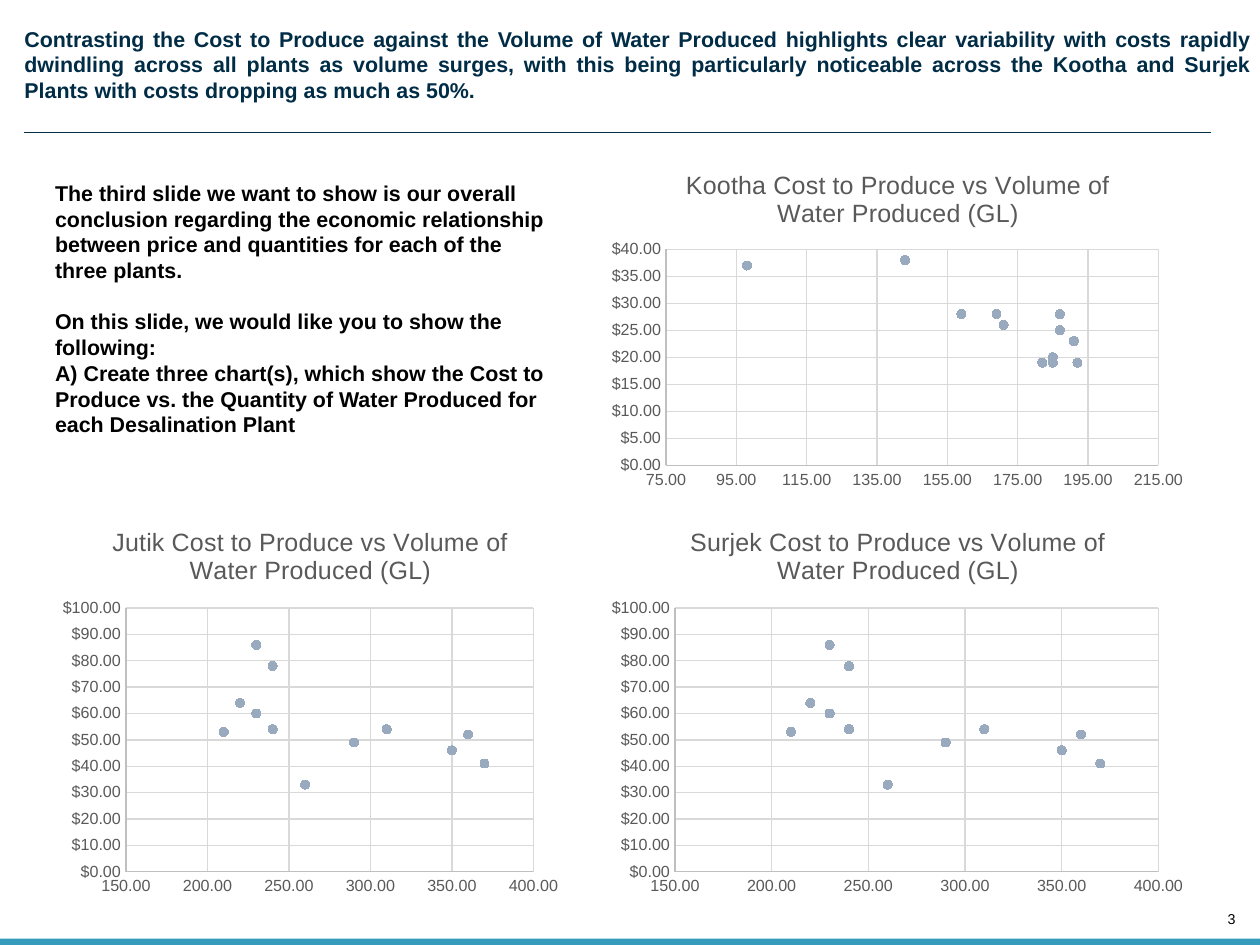
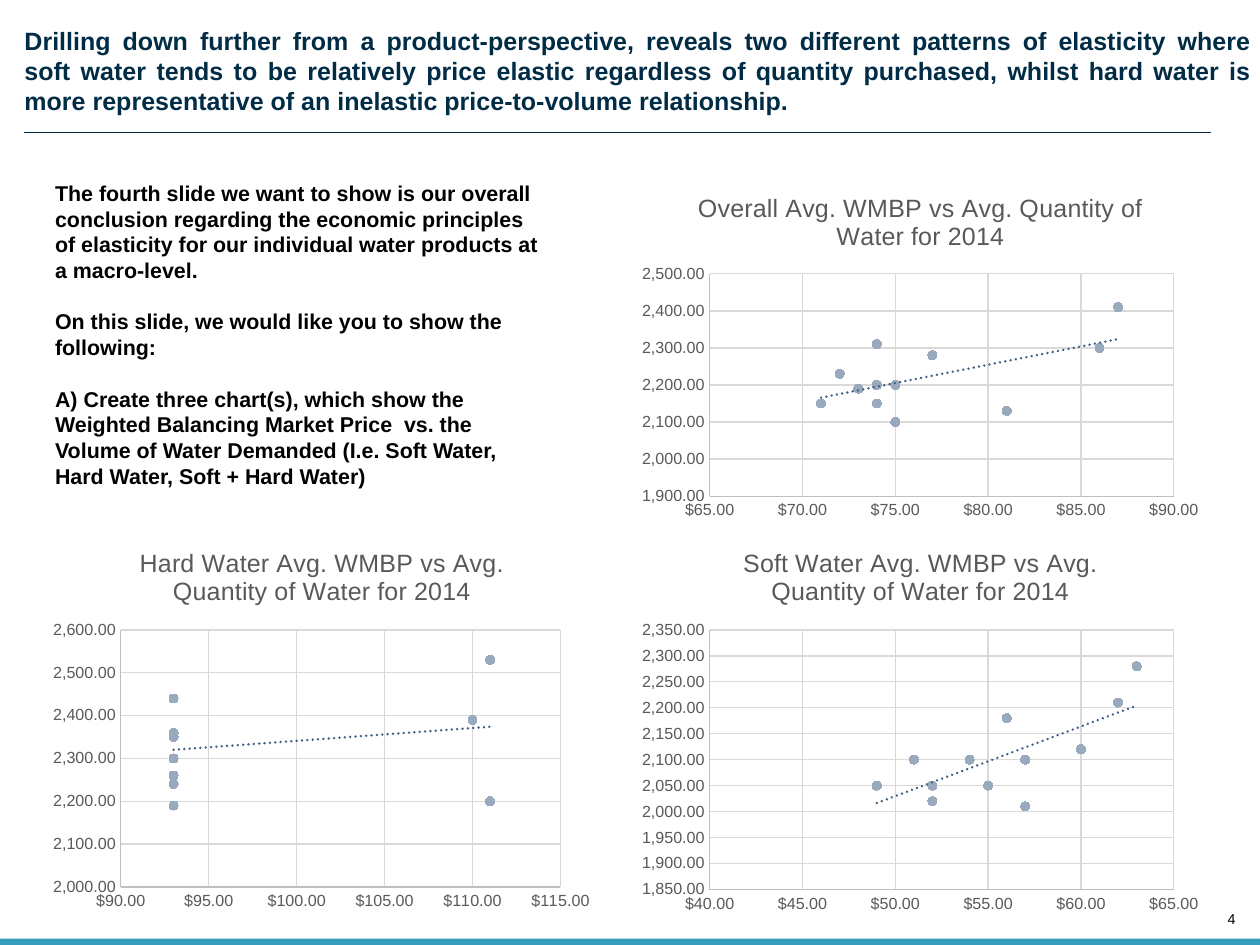
from lxml import etree
from pptx import Presentation
from pptx.chart.data import XyChartData
from pptx.dml.color import RGBColor
from pptx.enum.chart import XL_CHART_TYPE as ChartType, XL_MARKER_STYLE as MarkerStyle
from pptx.enum.chart import XL_TICK_MARK as TickMark
from pptx.enum.shapes import MSO_CONNECTOR as Connector, MSO_SHAPE as Shape
from pptx.enum.text import MSO_ANCHOR as Anchor, PP_ALIGN as Align
from pptx.oxml import parse_xml
from pptx.oxml.ns import nsdecls, qn
from pptx.util import Inches, Pt

NAVY = RGBColor(0x00, 0x2C, 0x46)
TEAL = RGBColor(0x37, 0x9B, 0xBD)
BLACK = RGBColor(0x00, 0x00, 0x00)
GREY = RGBColor(0x59, 0x59, 0x59)
AXIS_GREY = RGBColor(0xBF, 0xBF, 0xBF)
GRID_GREY = RGBColor(0xD9, 0xD9, 0xD9)
MARKER_BLUE = RGBColor(0x99, 0xAA, 0xBE)
TREND_BLUE = RGBColor(0x40, 0x60, 0x85)

FONT = "Arial"
WIDTH, HEIGHT = 9.8, 7.35
DOLLARS, PLAIN = '"$"#,##0.00', "#,##0.00"


def set_values(target, values):
    for name, value in values.items():
        setattr(target, name, value)


def style_font(font, size, color, bold=False):
    set_values(font, {"name": FONT, "size": Pt(size), "bold": bold})
    font.color.rgb = color


def style_line(line, color, width=0.75):
    line.color.rgb = color
    line.width = Pt(width)


class Deck:
    """Holds the shared style and the slide being built."""

    def __init__(self):
        self.presentation = Presentation()
        set_values(self.presentation, {"slide_width": Inches(WIDTH),
                                       "slide_height": Inches(HEIGHT)})
        self.slide = None

    def add_slide(self, number, title, title_size):
        self.slide = self.presentation.slides.add_slide(
            self.presentation.slide_layouts[6])
        self.text((9.31, 7.08, 0.3, 0.13), [(str(number), 0)], 8, BLACK, bold=False,
                  margin=0, align=Align.RIGHT, anchor=Anchor.BOTTOM)
        self.band()
        self.text((0.19, 0.2, 9.55, 0.71), [(title, 0)], title_size, NAVY,
                  margin=0, align=Align.JUSTIFY)
        self.rule()

    def text(self, box, paragraphs, size, color, bold=True, margin=None,
             align=Align.LEFT, anchor=Anchor.TOP):
        """Write (text, space before) pairs, one paragraph each."""
        frame = self.slide.shapes.add_textbox(*map(Inches, box)).text_frame
        set_values(frame, {"word_wrap": True, "vertical_anchor": anchor})
        if margin is not None:
            for side in ("left", "top", "right", "bottom"):
                setattr(frame, f"margin_{side}", Inches(margin))
        for index, (text, before) in enumerate(paragraphs):
            paragraph = frame.add_paragraph() if index else frame.paragraphs[0]
            set_values(paragraph, {"text": text, "alignment": align,
                                   "space_before": Pt(before)})
            for run in paragraph.runs:
                style_font(run.font, size, color, bold)

    def band(self):
        shape = self.slide.shapes.add_shape(
            Shape.RECTANGLE, 0, Inches(7.3), Inches(WIDTH), Inches(0.05))
        shape.shadow.inherit = False
        shape.fill.solid()
        shape.fill.fore_color.rgb = TEAL
        shape.line.fill.background()

    def rule(self):
        line = self.slide.shapes.add_connector(
            Connector.STRAIGHT, *map(Inches, (0.19, 1.03, 9.42, 1.03)))
        style_line(line.line, NAVY)
        etree.SubElement(line.element.spPr, qn("a:effectLst"))

    def brief(self, paragraphs):
        self.text((0.33, 1.35, 4.01, 2.52), paragraphs, 12, BLACK)

    def scatter(self, title, box, plot_box, points, x_scale, y_scale,
                x_format=PLAIN, y_format=DOLLARS, trend=False):
        """Scales are (minimum, maximum, step); boxes are in slide inches."""
        data = XyChartData()
        series_data = data.add_series("Series 1")
        for x, y in points:
            series_data.add_data_point(x, y)
        chart = self.slide.shapes.add_chart(
            ChartType.XY_SCATTER, *map(Inches, box), data).chart
        style_font(chart.font, 10, BLACK)
        chart.has_legend = False
        chart.has_title = True
        chart.chart_title.include_in_layout = False
        frame = chart.chart_title.text_frame
        frame.text = title
        style_font(frame.paragraphs[0].runs[0].font, 14, GREY)
        self.axis(chart.category_axis, x_scale, x_format)
        self.axis(chart.value_axis, y_scale, y_format)
        chart.plots[0].vary_by_categories = False
        self.markers(chart.plots[0].series[0])
        self.place_plot(chart, box, plot_box)
        if trend:
            self.trend_line(chart)

    def axis(self, axis, scale, number_format):
        minimum, maximum, step = scale
        set_values(axis, {"minimum_scale": minimum, "maximum_scale": maximum,
                          "major_unit": step, "has_major_gridlines": True,
                          "major_tick_mark": TickMark.NONE,
                          "minor_tick_mark": TickMark.NONE})
        style_line(axis.major_gridlines.format.line, GRID_GREY)
        style_line(axis.format.line, AXIS_GREY)
        set_values(axis.tick_labels, {"number_format": number_format,
                                      "number_format_is_linked": False})
        style_font(axis.tick_labels.font, 9, GREY)

    def markers(self, series):
        series.format.line.fill.background()
        set_values(series.marker, {"style": MarkerStyle.CIRCLE, "size": 5})
        series.marker.format.fill.solid()
        series.marker.format.fill.fore_color.rgb = MARKER_BLUE
        style_line(series.marker.format.line, MARKER_BLUE)

    def place_plot(self, chart, box, plot_box):
        left, top, width, height = box
        plot_left, plot_top, plot_width, plot_height = plot_box
        fractions = {"x": (plot_left - left) / width, "y": (plot_top - top) / height,
                     "w": plot_width / width, "h": plot_height / height}
        sizes = "".join(f'<c:{key} val="{value:.4f}"/>' for key, value in fractions.items())
        area = chart.element.find(".//" + qn("c:plotArea"))
        for layout in area.findall(qn("c:layout")):
            area.remove(layout)
        area.insert(0, parse_xml(
            f'<c:layout {nsdecls("c")}><c:manualLayout><c:layoutTarget val="inner"/>'
            f'<c:xMode val="edge"/><c:yMode val="edge"/>{sizes}'
            '</c:manualLayout></c:layout>'))

    def trend_line(self, chart):
        chart.element.find(".//" + qn("c:xVal")).addprevious(parse_xml(
            f'<c:trendline {nsdecls("c", "a")}><c:spPr><a:ln w="{Pt(1.5)}" cap="rnd">'
            f'<a:solidFill><a:srgbClr val="{TREND_BLUE}"/></a:solidFill>'
            '<a:prstDash val="sysDot"/></a:ln></c:spPr>'
            '<c:trendlineType val="linear"/><c:dispRSqr val="0"/><c:dispEq val="0"/>'
            '</c:trendline>'))


KOOTHA = [(182, 19), (187, 25), (185, 20), (192, 19), (98, 37), (185, 19),
          (187, 28), (159, 28), (191, 23), (171, 26), (169, 28), (143, 38)]
JUTIK_SURJEK = [(210, 53), (230, 60), (220, 64), (240, 78), (230, 86), (240, 54),
                (290, 49), (310, 54), (370, 41), (350, 46), (360, 52), (260, 33)]
OVERALL = [(86, 2300), (87, 2410), (81, 2130), (73, 2190), (71, 2150), (72, 2230),
           (77, 2280), (74, 2200), (74, 2150), (75, 2100), (75, 2200), (74, 2310)]
HARD = [(110, 2390), (111, 2530), (111, 2200), (93, 2350), (93, 2240), (93, 2360),
        (93, 2440), (93, 2300), (93, 2260), (93, 2190), (93, 2300), (93, 2440)]
SOFT = [(62, 2210), (63, 2280), (52, 2050), (52, 2020), (49, 2050), (51, 2100),
        (60, 2120), (57, 2100), (55, 2050), (57, 2010), (54, 2100), (56, 2180)]


def build_plants(deck):
    deck.add_slide(3, "Contrasting the Cost to Produce against the Volume of Water Produced "
                   "highlights clear variability with costs rapidly dwindling across all "
                   "plants as volume surges, with this being particularly noticeable across "
                   "the Kootha and Surjek Plants with costs dropping as much as 50%.", 12)
    deck.brief([
        ("The third slide we want to show is our overall conclusion regarding the economic "
         "relationship between price and quantities for each of the three plants.", 0),
        ("On this slide, we would like you to show the following:", 14.4),
        ("A) Create three chart(s), which show the Cost to Produce vs. the Quantity of "
         "Water Produced for each Desalination Plant", 0)])
    wide, tall = (150, 400, 50), (0, 100, 10)
    for plant, box, plot_box, points, x_scale, y_scale in (
            ("Kootha", (4.67, 1.17, 4.63, 2.69), (5.18, 1.94, 3.83, 1.68),
             KOOTHA, (75, 215, 20), (0, 40, 5)),
            ("Surjek", (4.67, 3.94, 4.63, 3.09), (5.25, 4.73, 3.76, 2.05),
             JUTIK_SURJEK, wide, tall),
            ("Jutik", (0.41, 3.94, 4.01, 3.09), (0.98, 4.73, 3.17, 2.05),
             JUTIK_SURJEK, wide, tall)):
        deck.scatter(f"{plant} Cost to Produce vs Volume of Water Produced (GL)",
                     box, plot_box, points, x_scale, y_scale)


def build_products(deck):
    deck.add_slide(4, "Drilling down further from a product-perspective, reveals two different "
                   "patterns of elasticity where\vsoft water tends to be relatively price "
                   "elastic regardless of quantity purchased, whilst hard water is more "
                   "representative of an inelastic price-to-volume relationship.", 14)
    deck.brief([
        ("The fourth slide we want to show is our overall conclusion regarding the economic "
         "principles of elasticity for our individual water products at a macro-level.", 0),
        ("On this slide, we would like you to show the following:", 14.4),
        ("A) Create three chart(s), which show the Weighted Balancing Market Price  vs. the "
         "Volume of Water Demanded (I.e. Soft Water, Hard Water, Soft + Hard Water)", 14.4)])
    for product, box, plot_box, points, x_scale, y_scale in (
            ("Overall", (4.9, 1.35, 4.52, 2.75), (5.52, 2.13, 3.61, 1.73),
             OVERALL, (65, 90, 5), (1900, 2500, 100)),
            ("Hard Water", (0.33, 4.1, 4.35, 3.05), (0.94, 4.9, 3.42, 2),
             HARD, (90, 115, 5), (2000, 2600, 100)),
            ("Soft Water", (4.9, 4.1, 4.52, 3.07), (5.52, 4.9, 3.61, 2.02),
             SOFT, (40, 65, 5), (1850, 2350, 50))):
        deck.scatter(f"{product} Avg. WMBP vs Avg. Quantity of Water for 2014",
                     box, plot_box, points, x_scale, y_scale, DOLLARS, PLAIN, trend=True)


def main():
    deck = Deck()
    build_plants(deck)
    build_products(deck)
    deck.presentation.save("out.pptx")


if __name__ == "__main__":
    main()
